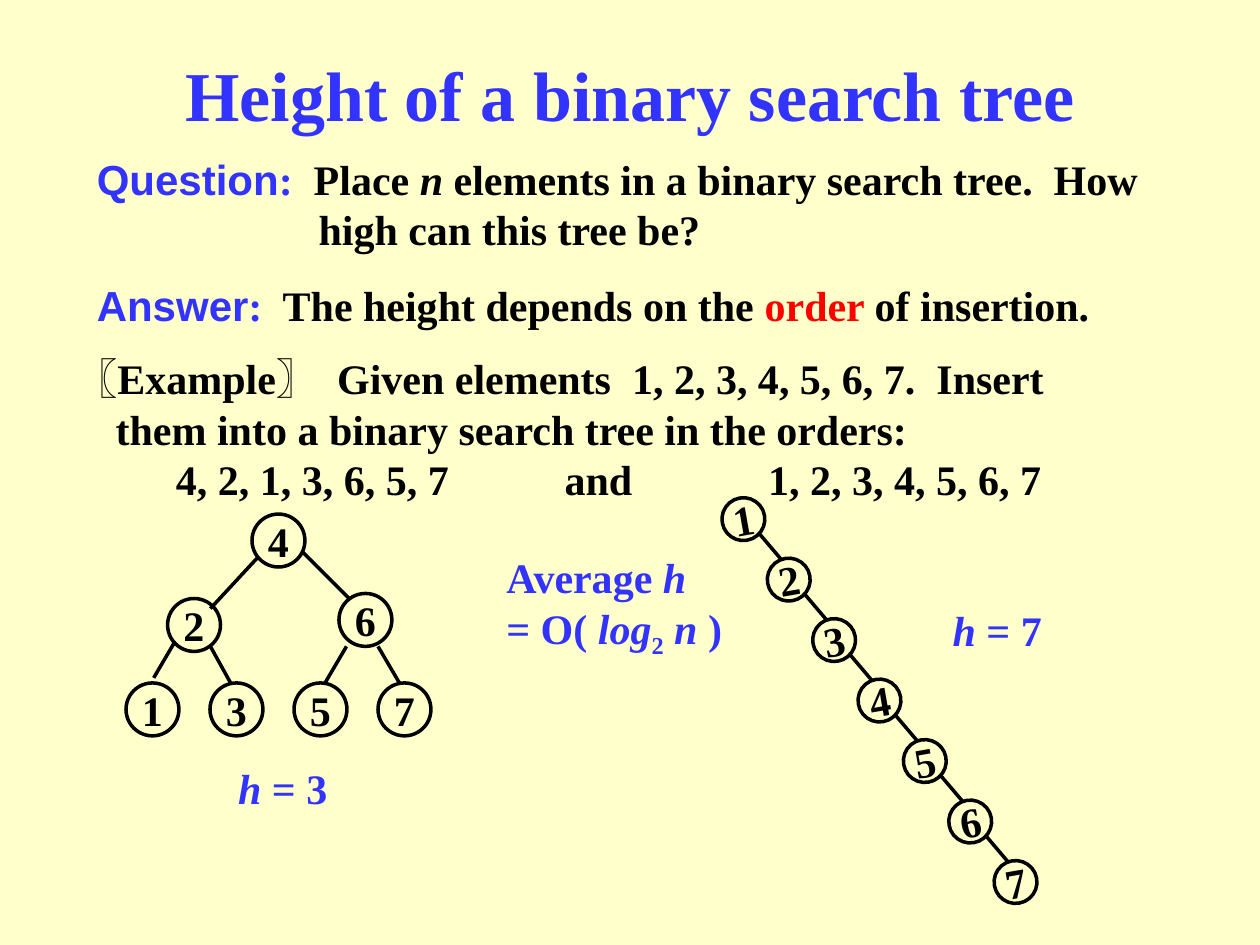
from lxml.etree import SubElement
from pptx import Presentation
from pptx.dml.color import RGBColor
from pptx.enum.shapes import MSO_CONNECTOR, MSO_SHAPE
from pptx.enum.text import MSO_ANCHOR, PP_ALIGN
from pptx.oxml.ns import qn
from pptx.util import Inches, Pt

INK = {"page": "FFFFCC", "blue": "3333FF", "black": "000000", "red": "FF0000"}
SERIF, SANS = "Times New Roman", "Arial"


def color(name):
    return RGBColor.from_string(INK[name])


def add_run(para, text, ink="black", font=SERIF, size=24, slant=False, sub=False):
    run = para.add_run()
    run.text = text
    run.font.name = font
    run.font.size = Pt(size)
    run.font.bold = True
    run.font.italic = slant
    run.font.color.rgb = color(ink)
    if sub:
        run.font._element.set("baseline", "-25000")


def add_text(slide, box, align=PP_ALIGN.LEFT, hang=0):
    """Add a wrapped text box and return its frame and first paragraph."""
    frame = slide.shapes.add_textbox(*map(Inches, box)).text_frame
    frame.word_wrap = True
    para = frame.paragraphs[0]
    para.alignment = align
    props = para._p.get_or_add_pPr()
    props.set("marL", str(Inches(hang)))
    props.set("indent", str(-Inches(hang)))
    return frame, para


def add_node(slide, label, left, top, size, turn=0):
    node = slide.shapes.add_shape(
        MSO_SHAPE.OVAL, *map(Inches, (left, top, size, size)))
    node.shadow.inherit = False
    node.fill.background()
    node.line.color.rgb = color("black")
    node.line.width = Pt(2)
    node.rotation = turn
    frame = node.text_frame
    frame.word_wrap = False
    frame.vertical_anchor = MSO_ANCHOR.MIDDLE
    para = frame.paragraphs[0]
    para.alignment = PP_ALIGN.CENTER
    add_run(para, label)


def add_edge(slide, *ends):
    edge = slide.shapes.add_connector(MSO_CONNECTOR.STRAIGHT, *map(Inches, ends))
    edge.line.color.rgb = color("black")
    edge.line.width = Pt(2)
    SubElement(edge._element.spPr, qn("a:effectLst"))


def add_title(slide, box):
    title = slide.shapes.title
    title.left, title.top, title.width, title.height = map(Inches, box)
    frame = title.text_frame
    frame.vertical_anchor = MSO_ANCHOR.MIDDLE
    para = frame.paragraphs[0]
    para.alignment = PP_ALIGN.CENTER
    add_run(para, "Height of a binary search tree", "blue", size=40)


def add_entry(slide, box, head, parts):
    """Add a paragraph led by a blue heading; parts hold run text and format."""
    para = add_text(slide, box, hang=1.76)[1]
    add_run(para, head, "blue", SANS)
    add_run(para, ":", "blue")
    for text, look in parts:
        add_run(para, text, **look)


def add_example(slide, left, top, width):
    """Add the task, and below it the two insertion orders."""
    para = add_text(slide, (left, top, width, 0.9), hang=0.32)[1]
    add_run(para, "〖Example〗  Given elements  1, 2, 3, 4, 5, 6, 7.  Insert "
                  "them into a binary search tree in the orders:")
    orders = [("4, 2, 1, 3, 6, 5, 7", 1.98, 2.6), ("and", 4.25, 1),
              ("1, 2, 3, 4, 5, 6, 7", 6.68, 2.6)]
    for text, mid, span in orders:
        box = (left + mid - span / 2, top + 0.8, span, 0.5)
        add_run(add_text(slide, box, PP_ALIGN.CENTER)[1], text)


def add_height(slide, box, value):
    para = add_text(slide, box, PP_ALIGN.CENTER)[1]
    add_run(para, "h", "blue", slant=True)
    add_run(para, f" = {value}", "blue")


def add_mean(slide, box):
    """Add the note on the average height."""
    frame, para = add_text(slide, box)
    add_run(para, "Average ", "blue")
    add_run(para, "h", "blue", slant=True)
    para = frame.add_paragraph()
    add_run(para, "= O( ", "blue")
    add_run(para, "log", "blue", slant=True)
    add_run(para, "2", "blue", sub=True)
    add_run(para, " n", "blue", slant=True)
    add_run(para, " )", "blue")


def add_tree(slide, left, top):
    """Draw the balanced tree."""
    nodes = [("4", 1, 0), ("2", 0.33, 0.67), ("6", 1.69, 0.63)]
    nodes += [(leaf, i * 2 / 3, 1.34) for i, leaf in enumerate("1357")]
    edges = [
        (1.05, 0.34, 0.67, 0.75), (1.4, 0.3, 1.78, 0.68),
        (0.39, 1.01, 0.22, 1.3), (0.67, 1.05, 0.83, 1.34),
        (1.75, 1.05, 1.58, 1.34), (2, 1.05, 2.17, 1.34),
    ]
    for label, x, y in nodes:
        add_node(slide, label, left + x, top + y, 0.42)
    for x1, y1, x2, y2 in edges:
        add_edge(slide, left + x1, top + y1, left + x2, top + y2)


def add_chain(slide, left, top):
    """Draw the tree that has sunk to a single slanted path."""
    labels = "1234567"
    for i, label in enumerate(labels):
        x, y = left + 0.36 * i, top + 0.48 * i
        add_node(slide, label, x, y, 0.34, turn=350)
        if i < len(labels) - 1:
            add_edge(slide, x + 0.3, y + 0.29, x + 0.47, y + 0.49)


def main():
    deck = Presentation()
    deck.slide_width, deck.slide_height = Inches(10), Inches(7.5)
    slide = deck.slides.add_slide(deck.slide_layouts[5])
    slide.background.fill.solid()
    slide.background.fill.fore_color.rgb = color("page")

    add_title(slide, (0.75, 0.36, 8.5, 0.77))
    add_entry(slide, (0.67, 1.17, 8.67, 0.9), "Question", [
        ("  Place ", {}),
        ("n", {"slant": True}),
        (" elements in a binary search tree.  How high can this tree be?", {}),
    ])
    add_entry(slide, (0.67, 2.17, 8.67, 0.5), "Answer", [
        ("  The height depends on the ", {}),
        ("order ", {"ink": "red"}),
        ("of insertion.", {}),
    ])
    add_example(slide, 0.5, 2.75, 8.67)
    add_tree(slide, 1, 4.08)
    add_height(slide, (1.33, 6, 1.83, 0.5), 3)
    add_chain(slide, 5.73, 3.95)
    add_height(slide, (7.08, 4.75, 1.67, 0.5), 7)
    add_mean(slide, (3.92, 4.33, 2.08, 0.96))
    deck.save("out.pptx")


if __name__ == "__main__":
    main()
